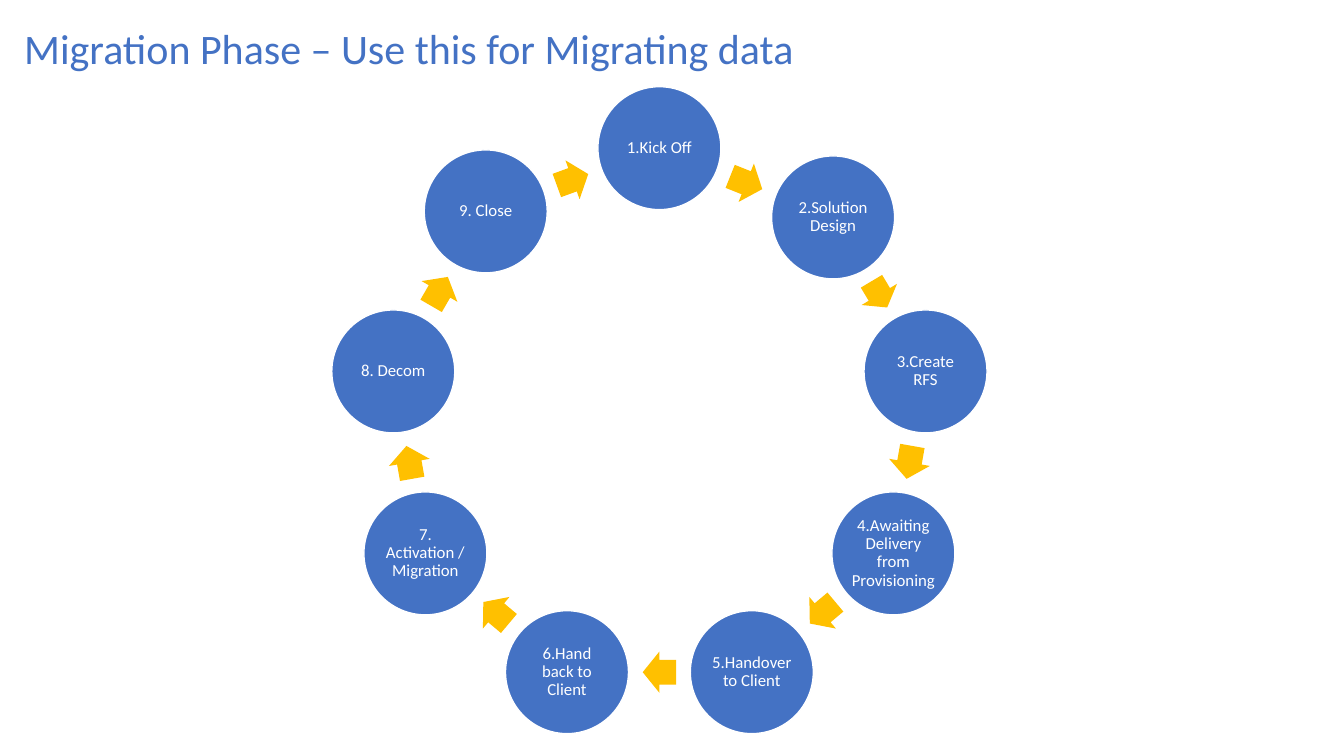
from dataclasses import dataclass
from itertools import pairwise
from math import atan2, cos, degrees, hypot, radians, sin

from pptx import Presentation
from pptx import util as u
from pptx.dml.color import RGBColor
from pptx.enum import shapes, text
from pptx.shapes.autoshape import Shape
from pptx.shapes.shapetree import GroupShapes

COLORS = {"blue": "4472C4", "gold": "FFC000", "white": "FFFFFF"}
FONT = "Calibri"

# Ring geometry, in inches
CENTER_X, CENTER_Y, RADIUS = 6.54, 4.15, 2.68
DIAMETER = 1.22
ARROW_HEIGHT = 0.41
ARROW_SHARE = 0.54  # part of the gap between circles that an arrow fills


@dataclass(frozen=True)
class Step:
    label: str
    drop: float = 0  # shift below the ring
    side_margin: float = 0.02  # zero makes room for a long word


@dataclass(frozen=True)
class Point:
    x: float
    y: float


STEPS = [
    Step("1.Kick Off"),
    Step("2.Solution Design", drop=0.06),
    Step("3.Create RFS"),
    Step("4.Awaiting Delivery from Provisioning", side_margin=0),
    Step("5.Handover to Client"),
    Step("6.Hand back to Client"),
    Step("7. Activation /Migration"),
    Step("8. Decom"),
    Step("9. Close"),
]


def color(name: str) -> RGBColor:
    return RGBColor.from_string(COLORS[name])


def step_center(index: int) -> Point:
    angle = radians(index * 360 / len(STEPS))
    return Point(CENTER_X + RADIUS * sin(angle),
                 CENTER_Y - RADIUS * cos(angle) + STEPS[index].drop)


def add_centered(ring: GroupShapes, kind: shapes.MSO_SHAPE, center: Point,
                 width: float, height: float, fill: str) -> Shape:
    shape = ring.add_shape(kind, u.Inches(center.x - width / 2),
                           u.Inches(center.y - height / 2),
                           u.Inches(width), u.Inches(height))
    shape.shadow.inherit = False
    shape.fill.solid()
    shape.fill.fore_color.rgb = color(fill)
    return shape


def add_circle(ring: GroupShapes, step: Step, center: Point) -> None:
    circle = add_centered(ring, shapes.MSO_SHAPE.OVAL, center,
                          DIAMETER, DIAMETER, "blue")
    circle.line.color.rgb = color("white")
    circle.line.width = u.Pt(1)
    frame = circle.text_frame
    frame.word_wrap = True
    frame.vertical_anchor = text.MSO_ANCHOR.MIDDLE
    frame.margin_left = frame.margin_right = u.Inches(step.side_margin)
    frame.margin_top = frame.margin_bottom = u.Inches(0.02)
    para = frame.paragraphs[0]
    para.text = step.label
    para.alignment = text.PP_ALIGN.CENTER
    para.line_spacing = 0.9
    para.font.name, para.font.size = FONT, u.Pt(12)
    para.font.color.rgb = color("white")


def add_arrow(ring: GroupShapes, start: Point, end: Point) -> None:
    dx, dy = end.x - start.x, end.y - start.y
    middle = Point((start.x + end.x) / 2, (start.y + end.y) / 2)
    length = ARROW_SHARE * (hypot(dx, dy) - DIAMETER)
    arrow = add_centered(ring, shapes.MSO_SHAPE.RIGHT_ARROW, middle,
                         length, ARROW_HEIGHT, "gold")
    arrow.adjustments[0], arrow.adjustments[1] = 0.6, 0.5
    arrow.rotation = degrees(atan2(dy, dx)) % 360
    arrow.line.fill.background()


def main() -> None:
    deck = Presentation()
    deck.slide_width, deck.slide_height = u.Inches(13.33), u.Inches(7.5)
    page = deck.slides.add_slide(deck.slide_layouts[5])

    # Title
    title = page.shapes.title
    title.left, title.top = u.Inches(0.14), u.Inches(0.16)
    title.width, title.height = u.Inches(11.5), u.Inches(0.69)
    title.text_frame.vertical_anchor = text.MSO_ANCHOR.MIDDLE
    para = title.text_frame.paragraphs[0]
    para.text = "Migration Phase – Use this for Migrating data"
    para.alignment = text.PP_ALIGN.LEFT
    para.line_spacing = 0.9
    para.font.name, para.font.size = FONT, u.Pt(30)
    para.font.color.rgb = color("blue")

    # Cycle of steps, each followed by an arrow to the next
    ring = page.shapes.add_group_shape().shapes
    centers = [step_center(index) for index in range(len(STEPS))]
    for step, (start, end) in zip(STEPS, pairwise(centers + centers[:1])):
        add_circle(ring, step, start)
        add_arrow(ring, start, end)

    deck.save("out.pptx")


if __name__ == "__main__":
    main()
